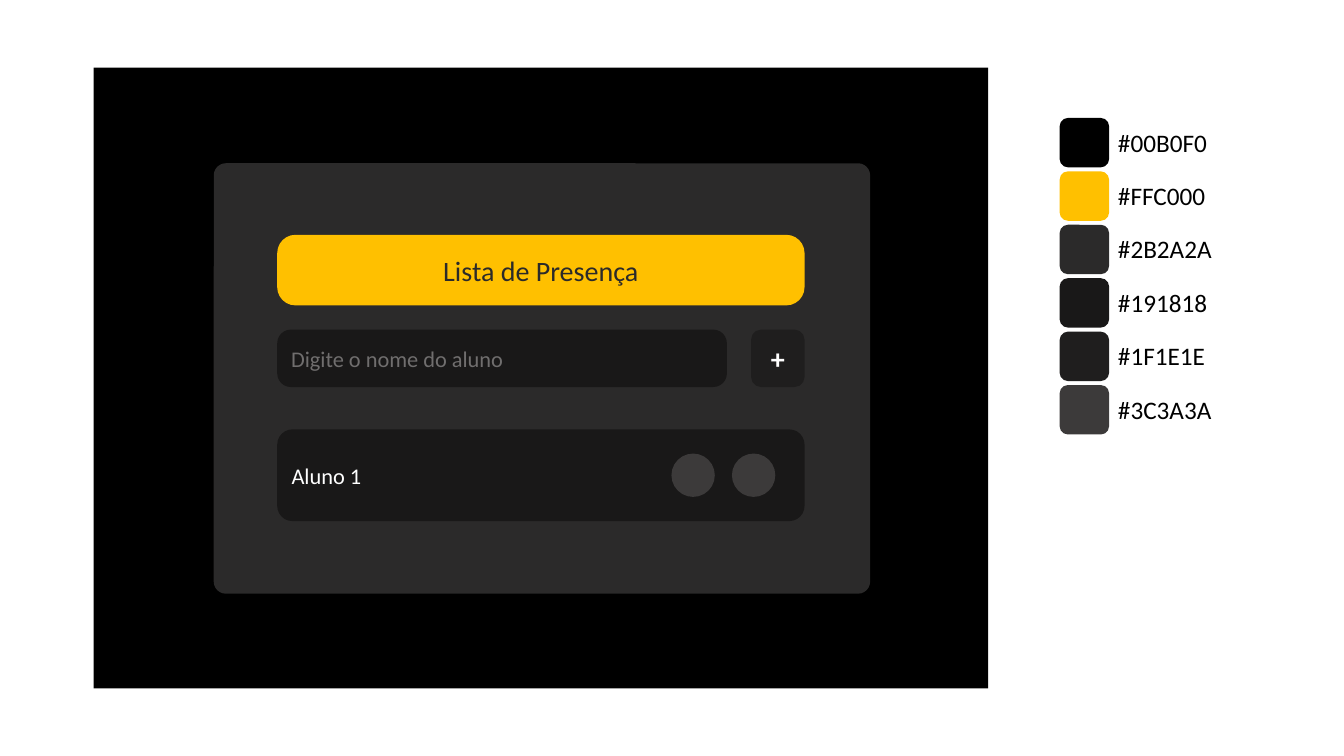
from pptx import Presentation
from pptx.dml.color import RGBColor
from pptx.enum import shapes, text
from pptx.util import Inches, Pt

RECT = shapes.MSO_SHAPE.RECTANGLE
ROUNDED = shapes.MSO_SHAPE.ROUNDED_RECTANGLE
OVAL = shapes.MSO_SHAPE.OVAL
LEFT, CENTER = text.PP_ALIGN.LEFT, text.PP_ALIGN.CENTER

BLACK, WHITE, YELLOW = "000000", "FFFFFF", "FFC000"
PANEL, FIELD, BUTTON, ICON = "2B2A2A", "191818", "1F1E1E", "3C3A3A"
PLACEHOLDER = "706E6E"

# left, top, width, height, fill, corner, text, text format
CARD_PARTS = [
    (2.12, 1.62, 6.51, 4.27, PANEL, 0.028, "", {}),
    (2.75, 2.33, 5.23, 0.70, YELLOW, 0.258, "Lista de Presença",
     dict(size=20, color=PANEL, align=CENTER)),
    (2.75, 3.27, 4.46, 0.57, FIELD, 0.237, "Digite o nome do aluno",
     dict(size=16, color=PLACEHOLDER)),
    (7.45, 3.27, 0.53, 0.57, BUTTON, 0.186, "+",
     dict(size=20, color=WHITE, bold=True, align=CENTER)),
    (2.75, 4.26, 5.23, 0.91, FIELD, 0.166, "Aluno 1",
     dict(size=16, color=WHITE)),
]
ACTION_LEFTS = [6.66, 7.26]
PALETTE = [
    (BLACK, "#00B0F0"),
    (YELLOW, "#FFC000"),
    (PANEL, "#2B2A2A"),
    (FIELD, "#191818"),
    (BUTTON, "#1F1E1E"),
    (ICON, "#3C3A3A"),
]
PALETTE_LEFT, PALETTE_TOP, PALETTE_STEP, SWATCH = 10.51, 1.17, 0.53, 0.49


def rgb(value):
    return RGBColor.from_string(value)


def write(shape, content, size=18, color=BLACK, bold=False, align=LEFT,
          anchor=text.MSO_ANCHOR.MIDDLE):
    frame = shape.text_frame
    frame.word_wrap = True
    frame.vertical_anchor = anchor
    paragraph = frame.paragraphs[0]
    paragraph.alignment = align
    run = paragraph.add_run()
    run.text = content
    run.font.name = "Calibri"
    run.font.size = Pt(size)
    run.font.bold = bold
    run.font.color.rgb = rgb(color)


def add_block(slide, kind, left, top, width, height, fill, corner=None):
    """Add a borderless filled shape; corner is the rounding ratio."""
    shape = slide.shapes.add_shape(
        kind, Inches(left), Inches(top), Inches(width), Inches(height))
    shape.shadow.inherit = False
    shape.fill.solid()
    shape.fill.fore_color.rgb = rgb(fill)
    shape.line.fill.background()
    if corner is not None:
        shape.adjustments[0] = corner
    return shape


def add_card(slide):
    add_block(slide, RECT, 0.93, 0.67, 8.87, 6.16, BLACK)
    for left, top, width, height, fill, corner, content, style in CARD_PARTS:
        shape = add_block(slide, ROUNDED, left, top, width, height, fill, corner)
        if content:
            write(shape, content, **style)
    for left in ACTION_LEFTS:
        add_block(slide, OVAL, left, 4.5, 0.43, 0.43, ICON)


def add_palette(slide):
    for row, (fill, code) in enumerate(PALETTE):
        top = PALETTE_TOP + row * PALETTE_STEP
        add_block(slide, ROUNDED, PALETTE_LEFT, top, SWATCH, SWATCH, fill)
        label = slide.shapes.add_textbox(
            Inches(PALETTE_LEFT + SWATCH - 0.01), Inches(top + 0.04),
            Inches(1.36), Inches(0.4))
        write(label, code, anchor=text.MSO_ANCHOR.TOP)


def main():
    presentation = Presentation()
    presentation.slide_width = Inches(13.33)
    presentation.slide_height = Inches(7.5)
    slide = presentation.slides.add_slide(presentation.slide_layouts[6])
    add_card(slide)
    add_palette(slide)
    presentation.save("out.pptx")


if __name__ == "__main__":
    main()
